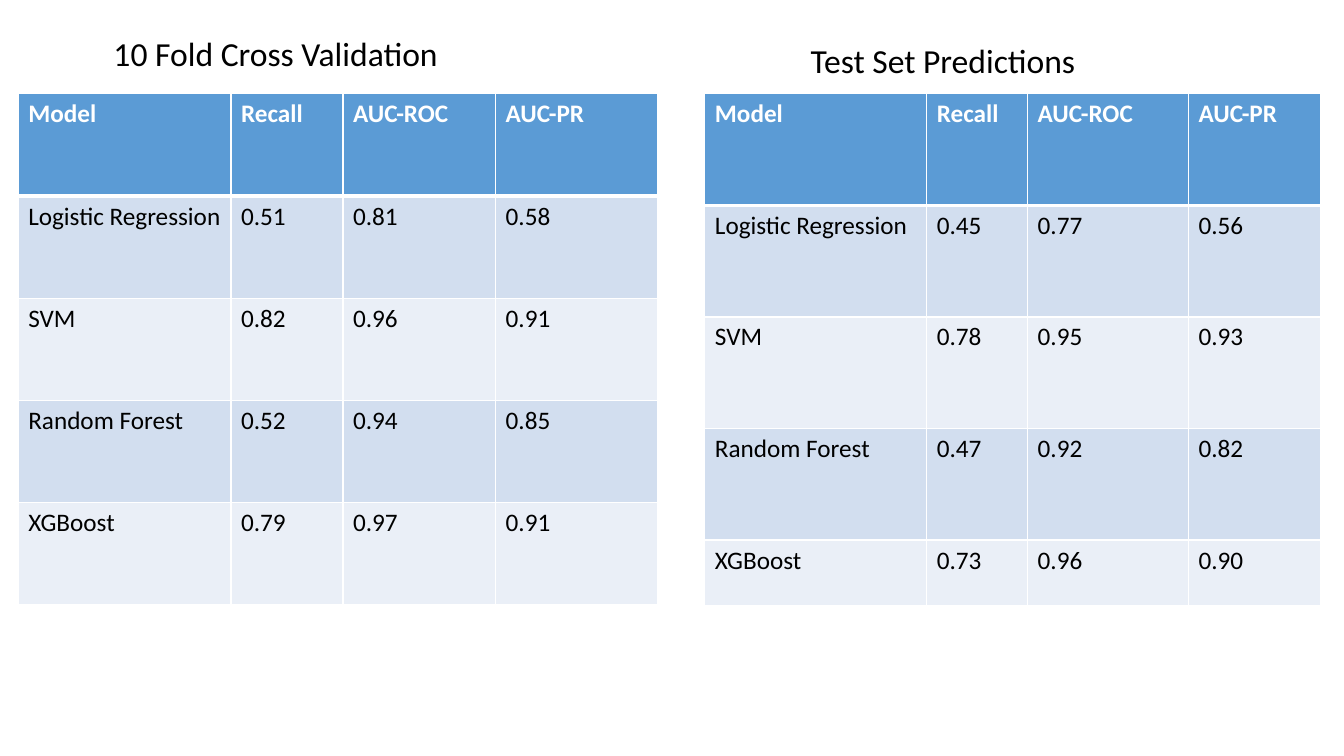
from lxml import etree
from pptx import Presentation
from pptx.dml.color import RGBColor
from pptx.oxml.ns import qn
from pptx.util import Pt

BLANK_LAYOUT = 6
FONT = "Calibri"
WHITE, BLACK = "FFFFFF", "000000"
HEADER_FILL = "5B9BD5"
BAND_FILLS = ("D2DEEF", "EAEFF7")
TABLE_TOP = 67

HEADERS = ("Model", "Recall", "AUC-ROC", "AUC-PR")
CROSS_VALIDATION = (
    HEADERS,
    ("Logistic Regression", "0.51", "0.81", "0.58"),
    ("SVM", "0.82", "0.96", "0.91"),
    ("Random Forest", "0.52", "0.94", "0.85"),
    ("XGBoost", "0.79", "0.97", "0.91"),
)
TEST_SET = (
    HEADERS,
    ("Logistic Regression", "0.45", "0.77", "0.56"),
    ("SVM", "0.78", "0.95", "0.93"),
    ("Random Forest", "0.47", "0.92", "0.82"),
    ("XGBoost", "0.73", "0.96", "0.90"),
)


def rgb(color):
    """Turn a hex string into a colour."""
    return RGBColor.from_string(color)


def write(tf, text, size=18, color=BLACK, bold=False):
    """Write one formatted run into a text frame."""
    r = tf.paragraphs[0].add_run()
    r.text = text
    r.font.name = FONT
    r.font.size = Pt(size)
    r.font.bold = bold
    r.font.color.rgb = rgb(color)


def add_heading(slide, text, left, top):
    """Add the heading above a table."""
    tf = slide.shapes.add_textbox(Pt(left), Pt(top), Pt(282), Pt(36)).text_frame
    tf.word_wrap = True
    write(tf, text, size=24)


def set_borders(cell, top=1, bottom=1):
    """Give a cell white borders; call before its fill is set."""
    tc_pr = cell._tc.get_or_add_tcPr()
    for side, width in (("L", 1), ("R", 1), ("T", top), ("B", bottom)):
        ln = etree.SubElement(tc_pr, qn(f"a:ln{side}"), w=str(Pt(width)))
        fill = etree.SubElement(ln, qn("a:solidFill"))
        etree.SubElement(fill, qn("a:srgbClr"), val=WHITE)


def format_cell(cell, row, text):
    """Write and style a cell as header or banded body."""
    header = row == 0
    set_borders(cell, top=3 if row == 1 else 1, bottom=3 if header else 1)
    cell.fill.solid()
    cell.fill.fore_color.rgb = rgb(HEADER_FILL if header else BAND_FILLS[(row - 1) % 2])
    write(cell.text_frame, text, color=WHITE if header else BLACK, bold=header)


def add_score_table(slide, scores, left, widths, heights):
    """Add a table of model scores."""
    frame = slide.shapes.add_table(len(scores), len(widths), Pt(left), Pt(TABLE_TOP),
                                   Pt(sum(widths)), Pt(sum(heights)))
    table = frame.table
    for column, width in zip(table.columns, widths):
        column.width = Pt(width)
    for i, (row, height) in enumerate(zip(table.rows, heights)):
        row.height = Pt(height)
        for cell, text in zip(row.cells, scores[i]):
            format_cell(cell, i, text)


def main():
    """Build the slide and save it."""
    prs = Presentation()
    prs.slide_width, prs.slide_height = Pt(960), Pt(540)
    slide = prs.slides.add_slide(prs.slide_layouts[BLANK_LAYOUT])
    add_score_table(slide, CROSS_VALIDATION, 13, (152, 80, 109, 116), [73] * 5)
    add_heading(slide, "10 Fold Cross Validation", 74, 20)
    add_score_table(slide, TEST_SET, 503.5, (158.5, 72, 115, 94.5), [79.7] * 4 + [46.5])
    add_heading(slide, "Test Set Predictions", 572, 25)
    prs.save("out.pptx")


main()
